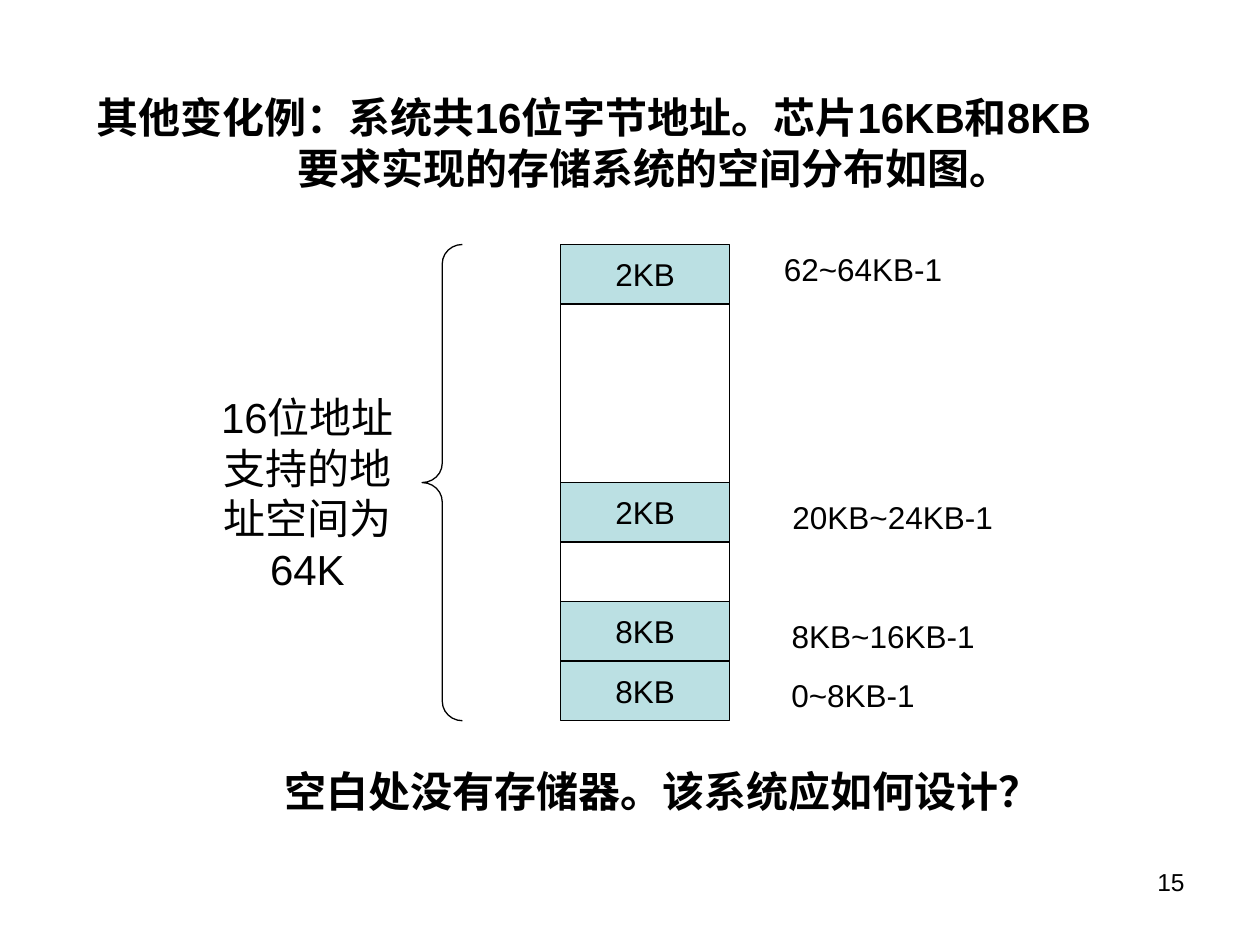
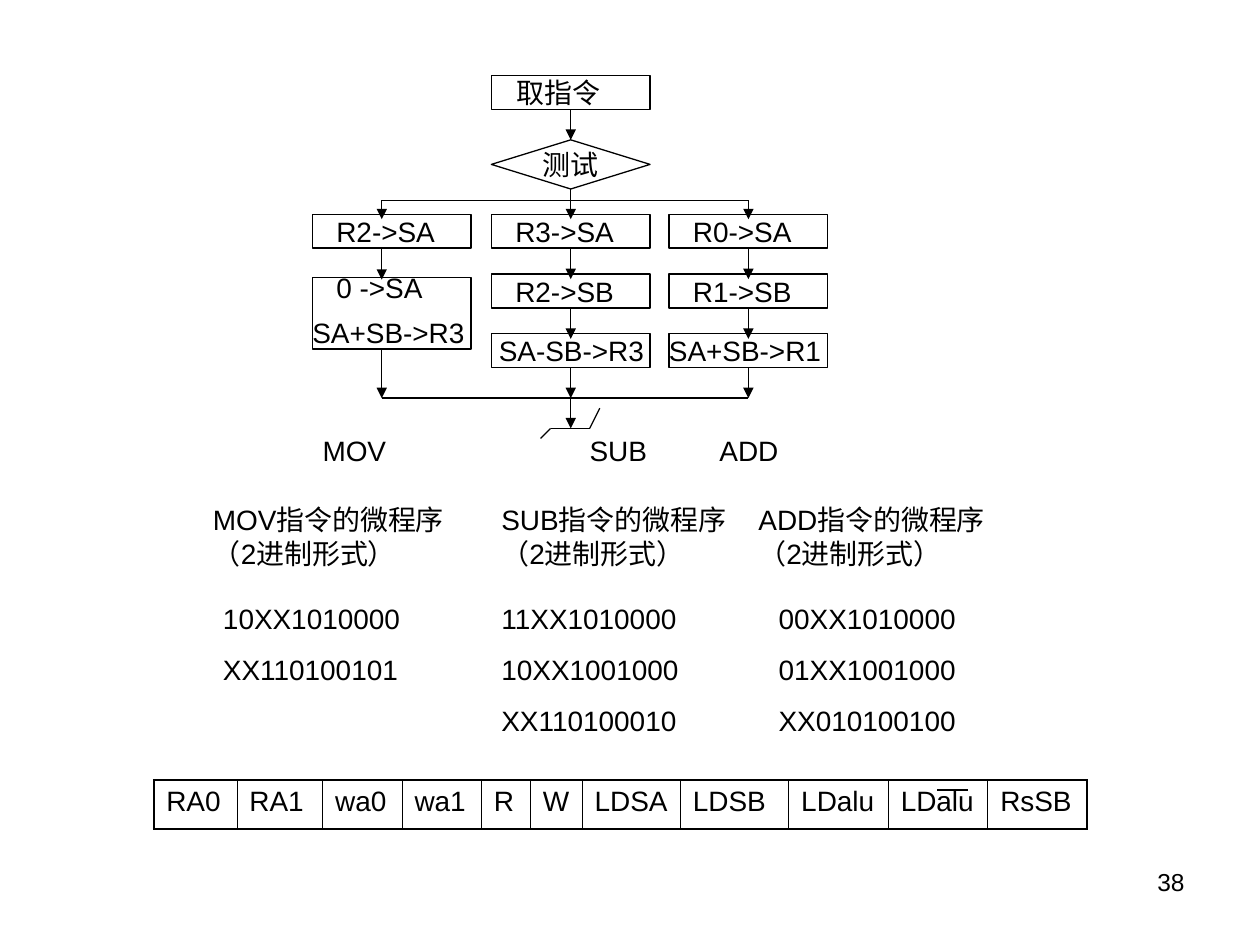
"""Builds two slides: a 64K memory map and a microprogram flowchart."""
from lxml import etree
from pptx import Presentation
from pptx import util as u
from pptx.dml.color import RGBColor
from pptx.enum import shapes, text
from pptx.oxml.ns import qn

COLOURS = {"ink": "000000", "memory": "BBE0E3"}
FONT = "Arial"
LINE_WIDTH = u.Pt(0.75)

presentation = Presentation()
presentation.slide_width = u.Inches(10)
presentation.slide_height = u.Inches(7.5)
CELL = presentation.slide_width / 100
ink = RGBColor.from_string(COLOURS["ink"])


def write(frame, content, size=16, bold=False, align="LEFT", indents=(), gap=0, spacing=None):
    frame.text = content
    for index, paragraph in enumerate(frame.paragraphs):
        if index < len(indents):
            paragraph._p.get_or_add_pPr().set("marL", str(round(indents[index] * CELL)))
        paragraph.alignment = getattr(text.PP_ALIGN, align)
        if index and gap:
            paragraph.space_before = u.Pt(gap)
        if spacing:
            paragraph.line_spacing = spacing
        font = paragraph.font
        font.name, font.size, font.bold = FONT, u.Pt(size), bold
        font.color.rgb = ink


def add_box(slide, left, top, width, height, content="", kind=None, fill=None,
            inset=(1, 0.5), wrap=True, anchor="TOP", **text_format):
    cells = [round(length * CELL) for length in (left, top, width, height)]
    if kind is None:
        shape = slide.shapes.add_textbox(*cells)
    else:
        shape = slide.shapes.add_shape(kind, *cells)
        shape.shadow.inherit = False
        shape.line.color.rgb = ink
        shape.line.width = LINE_WIDTH
        shape.fill.background()
        if fill:
            shape.fill.solid()
            shape.fill.fore_color.rgb = RGBColor.from_string(COLOURS[fill])
    frame = shape.text_frame
    frame.margin_left = frame.margin_right = round(inset[0] * CELL)
    frame.margin_top = frame.margin_bottom = round(inset[1] * CELL)
    frame.word_wrap = wrap
    frame.vertical_anchor = getattr(text.MSO_ANCHOR, anchor)
    if content:
        write(frame, content, **text_format)
    return shape


RECTANGLE = shapes.MSO_SHAPE.RECTANGLE
CENTRED = {"wrap": False, "anchor": "MIDDLE", "align": "CENTER"}
LABEL = {**CENTRED, "inset": (0, 0)}
TIGHT = {"inset": (0, 0), "gap": 10}

memory_slide, flow_slide = [
    presentation.slides.add_slide(presentation.slide_layouts[6]) for _ in range(2)]
for slide, number in ((memory_slide, "15"), (flow_slide, "38")):
    add_box(slide, 71.7, 68.3, 23.3, 5.2, number, size=14, align="RIGHT")

add_box(memory_slide, 6.7, 6.8, 81.1, 13,
        "其他变化例：系统共16位字节地址。芯片16KB和8KB\n要求实现的存储系统的空间分布如图。",
        size=24, bold=True, indents=(0, 15.9))
add_box(memory_slide, 16.4, 20.2, 16, 37.8, "16位地址\n支持的地\n址空间为\n64K", size=24, **LABEL)
add_box(memory_slide, 21.6, 60.3, 64.6, 5, "空白处没有存储器。该系统应如何设计？",
        size=24, bold=True)

MAP_TOP, MAP_HEIGHT = 19.4, 37.8
block = MAP_HEIGHT / 8
for first, count, label in ((1, 3, ""), (0, 1, "2KB"), (4, 1, "2KB"), (5, 1, ""),
                            (6, 1, "8KB"), (7, 1, "8KB")):
    add_box(memory_slide, 44.5, MAP_TOP + first * block, 13.4, count * block, label,
            kind=RECTANGLE, fill="memory" if label else None, size=18, **CENTRED)
for left, top, width, label in ((61.8, 19.4, 13.4, "62~64KB-1"), (61.8, 39.1, 18.1, "20KB~24KB-1"),
                                (62.3, 48.5, 15.6, "8KB~16KB-1"), (61, 53.2, 13.4, "0~8KB-1")):
    add_box(memory_slide, left, top, width, 3.9, label, size=18, **LABEL)
brace = add_box(memory_slide, 33.5, MAP_TOP, 3.2, MAP_HEIGHT, kind=shapes.MSO_SHAPE.LEFT_BRACE)
brace.adjustments[0], brace.adjustments[1] = 0.48, 0.5

BOX_WIDTH, BOX_HEIGHT = 12.6, 2.7
LANES, AXES = (24.8, 39, 53.1), (30.3, 45.3, 59.4)
STEP_TOP, STEP = 17, 4.75
FORK, JOIN, EXIT = 15.9, 31.6, 34

fetch = add_box(flow_slide, LANES[1], 6, BOX_WIDTH, BOX_HEIGHT, "取指令",
                kind=RECTANGLE, indents=(2,), **TIGHT)
test = add_box(flow_slide, LANES[1], 11.1, BOX_WIDTH, 3.9, "测试",
               kind=shapes.MSO_SHAPE.DIAMOND, **CENTRED)
lines = [
    (AXES[1], 8.8, AXES[1], 11.1, fetch, test, True),
    (AXES[1], 15, AXES[1], 17.4, test, None, True),
    (AXES[0], FORK, AXES[2], FORK, None, None, False),
    (AXES[0], FORK, AXES[0], 17.4, None, None, True),
    (AXES[2], FORK, AXES[2], 17.4, None, None, True),
    (AXES[0], JOIN, AXES[2], JOIN, None, None, False),
    (AXES[1], JOIN, AXES[1], EXIT, None, None, True),
    (43.7, EXIT, 46.8, EXIT, None, None, False),
    (43.7, EXIT, 42.9, 34.8, None, None, False),
    (46.8, EXIT, 47.6, 32.4, None, None, False),
    (74.4, 62.7, 76.8, 62.7, None, None, False),
]

add_box(flow_slide, LANES[0], STEP_TOP, BOX_WIDTH, BOX_HEIGHT, "R2->SA",
        kind=RECTANGLE, indents=(1.9,), **TIGHT)
add_box(flow_slide, LANES[0], 22, BOX_WIDTH, 5.7, "0 ->SA\nSA+SB->R3",
        kind=RECTANGLE, indents=(1.9,), spacing=0.8, **TIGHT)
lines += [(AXES[0], 19.8, AXES[0], 22.2, None, None, True),
          (AXES[0], 27.7, AXES[0], JOIN, None, None, True)]
for lane, axis, steps, last_indent in (
        (LANES[1], AXES[1], ("R3->SA", "R2->SB", "SA-SB->R3"), 0.6),
        (LANES[2], AXES[2], ("R0->SA", "R1->SB", "SA+SB->R1"), 0)):
    for row, step in enumerate(steps):
        top = STEP_TOP + row * STEP
        is_last = row == len(steps) - 1
        box = add_box(flow_slide, lane, top, BOX_WIDTH, BOX_HEIGHT, step, kind=RECTANGLE,
                      indents=(last_indent if is_last else 1.9,), **TIGHT)
        end = JOIN if is_last else top + STEP + 0.4
        lines.append((axis, top + BOX_HEIGHT, axis, end, box, None, True))

for name, label_left, heading_left, code_left, codes in (
        ("MOV", 25.6, 16.9, 17.7, "10XX1010000\nXX110100101"),
        ("SUB", 46.8, 39.8, 39.8, "11XX1010000\n10XX1001000\nXX110100010"),
        ("ADD", 57.1, 60.2, 61.8, "00XX1010000\n01XX1001000\nXX010100100")):
    add_box(flow_slide, label_left, 34.4, 5.5, 2.7, name, **TIGHT)
    add_box(flow_slide, heading_left, 39.9, 19.7, 5.3, name + "指令的微程序（2进制形式）", **TIGHT)
    add_box(flow_slide, code_left, 47.7, 15.7, 10.8, codes, **TIGHT)

fields = (("RA0", 6.6), ("RA1", 6.8), ("wa0", 6.3), ("wa1", 6.3), ("R", 3.9), ("W", 4.1),
          ("LDSA", 7.8), ("LDSB", 8.6), ("LDalu", 7.9), ("LDalu", 7.9), ("RsSB", 7.9))
table = flow_slide.shapes.add_table(
    1, len(fields), *[round(length * CELL) for length in (12.2, 61.9, 74, 3.9)]).table
table.first_row = table.horz_banding = False
for column, (name, width) in enumerate(fields):
    table.columns[column].width = round(width * CELL)
    cell = table.cell(0, column)
    write(cell.text_frame, name)
    outer = {"lnL": column == 0, "lnR": column == len(fields) - 1, "lnT": True, "lnB": True}
    properties = cell._tc.get_or_add_tcPr()
    for side, is_outer in outer.items():
        border = etree.SubElement(properties, qn("a:" + side), w=str(u.Pt(1.08 if is_outer else 0.45)))
        solid = etree.SubElement(border, qn("a:solidFill"))
        etree.SubElement(solid, qn("a:srgbClr"), val=COLOURS["ink"])
    cell.fill.background()

for *ends, start_box, end_box, has_arrow in lines:
    connector = flow_slide.shapes.add_connector(
        shapes.MSO_CONNECTOR.STRAIGHT, *[round(length * CELL) for length in ends])
    if start_box is not None:
        connector.begin_connect(start_box, 2)
    if end_box is not None:
        connector.end_connect(end_box, 0)
    connector.line.color.rgb = ink
    connector.line.width = LINE_WIDTH
    if has_arrow:
        etree.SubElement(connector.line._get_or_add_ln(), qn("a:tailEnd"), type="triangle")
    etree.SubElement(connector._element.spPr, qn("a:effectLst"))

presentation.save("out.pptx")
